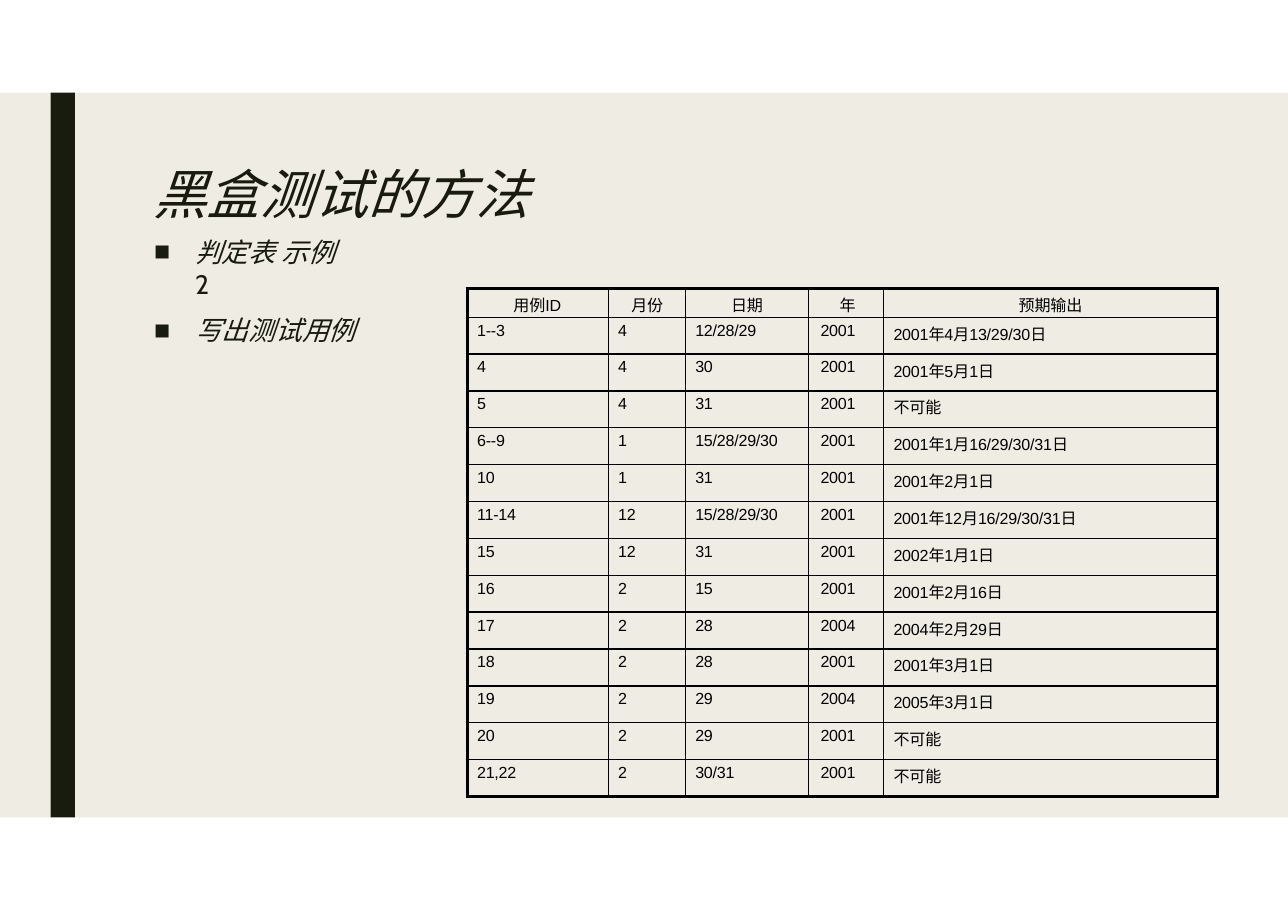
from itertools import groupby
from lxml.etree import SubElement as Sub
from pptx import Presentation
from pptx.dml.color import RGBColor
from pptx.enum.shapes import MSO_SHAPE as Shape
from pptx.enum.text import MSO_ANCHOR as Anchor, MSO_AUTO_SIZE as Auto, PP_ALIGN as Align
from pptx.oxml.ns import qn
from pptx.util import Pt

# Content
TITLE = "黑盒测试的方法"
POINTS = [["判定表 示例", "2"], ["写出测试用例"]]
HEAD = ("用例ID", "月份", "日期", "年", "预期输出")
CASES = [
    ("1--3", "4", "12/28/29", "2001", "2001年4月13/29/30日"),
    ("4", "4", "30", "2001", "2001年5月1日"),
    ("5", "4", "31", "2001", "不可能"),
    ("6--9", "1", "15/28/29/30", "2001", "2001年1月16/29/30/31日"),
    ("10", "1", "31", "2001", "2001年2月1日"),
    ("11-14", "12", "15/28/29/30", "2001", "2001年12月16/29/30/31日"),
    ("15", "12", "31", "2001", "2002年1月1日"),
    ("16", "2", "15", "2001", "2001年2月16日"),
    ("17", "2", "28", "2004", "2004年2月29日"),
    ("18", "2", "28", "2001", "2001年3月1日"),
    ("19", "2", "29", "2004", "2005年3月1日"),
    ("20", "2", "29", "2001", "不可能"),
    ("21,22", "2", "30/31", "2001", "不可能"),
]

# Style: 200 px to the inch
PX = 914400 // 200
CREAM = RGBColor(0xEF, 0xED, 0xE3)
DARK = RGBColor(0x19, 0x1B, 0x0E)
BLACK = RGBColor(0, 0, 0)
HAN, SANS, ROUND = "Noto Sans CJK SC", "Arial", "Cabin"
WIDE, TALL = 2338, 1654
TOP, DEEP = 168, 1316
PANELS = [(136, WIDE - 136, CREAM), (0, 92, CREAM), (92, 44, DARK)]
COLS = (256, 140, 224, 136, 606)
HEAD_H, ROW_H = 52, 67
YEAR = 3
HEAD_IN = (84, 42, 0, 0, 0)
HEAD_AL = (Align.LEFT, Align.LEFT, Align.CENTER, Align.RIGHT, Align.CENTER)
CASE_IN = (18, 18, 18, 0, 18)
CASE_AL = (Align.LEFT, Align.LEFT, Align.LEFT, Align.RIGHT, Align.LEFT)
THIN, THICK = Pt(1), Pt(2.25)


def add_run(para, text, face, size, color, slant=False, gap=0):
    run = para.add_run()
    run.text = text
    font = run.font
    font.name, font.size, font.italic = face, Pt(size), slant
    font.color.rgb = color
    props = run._r.get_or_add_rPr()
    Sub(props, qn("a:ea")).set("typeface", face)
    if gap:
        props.set("spc", str(gap))


def set_frame(frame, top):
    frame.margin_left = frame.margin_right = frame.margin_bottom = 0
    frame.margin_top = top * PX
    frame.word_wrap = True
    frame.vertical_anchor = Anchor.TOP
    frame.auto_size = Auto.SHAPE_TO_FIT_TEXT


def set_edges(cell, widths):
    props = cell._tc.get_or_add_tcPr()
    for side, width in zip("LRTB", widths):
        line = Sub(props, qn("a:ln" + side), w=str(int(width)))
        fill = Sub(line, qn("a:solidFill"))
        Sub(fill, qn("a:srgbClr"), val=str(BLACK))


def fill_cell(cell, text, indent, align, right):
    cell.margin_left = cell.margin_bottom = 0
    cell.margin_right, cell.margin_top = right * PX, 8 * PX
    cell.vertical_anchor = Anchor.TOP
    cell.fill.solid()
    cell.fill.fore_color.rgb = CREAM
    para = cell.text_frame.paragraphs[0]
    para.alignment = align
    para._p.get_or_add_pPr().set("marL", str(indent * PX))
    for latin, part in groupby(text, str.isascii):
        add_run(para, "".join(part), SANS if latin else HAN, 10.5, BLACK,
                gap=-10 if latin else 0)


def add_panels(slide):
    for left, width, color in PANELS:
        panel = slide.shapes.add_shape(
            Shape.RECTANGLE, left * PX, TOP * PX, width * PX, DEEP * PX)
        panel.shadow.inherit = False
        panel.fill.solid()
        panel.fill.fore_color.rgb = color
        panel.line.fill.background()


def add_title(slide):
    title = slide.shapes.title
    slide.shapes._spTree.append(title._element)  # in front of the panels
    title.left, title.top = 278 * PX, 288 * PX
    title.width, title.height = 688 * PX, 122 * PX
    set_frame(title.text_frame, 4)
    para = title.text_frame.paragraphs[0]
    para.alignment = Align.LEFT
    add_run(para, TITLE, HAN, 35, DARK, True, 10)


def add_points(slide):
    box = slide.shapes.add_textbox(278 * PX, 400 * PX, 376 * PX, 174 * PX)
    frame = box.text_frame
    set_frame(frame, 28)
    for i, lines in enumerate(POINTS):
        para = frame.add_paragraph() if i else frame.paragraphs[0]
        props = para._p.get_or_add_pPr()
        props.set("marL", str(76 * PX))
        props.set("indent", str(-74 * PX))
        Sub(props, qn("a:buFont"), typeface=SANS)
        Sub(props, qn("a:buChar"), char="■")
        if i:
            para.space_before = Pt(9.3)
        for j, text in enumerate(lines):
            if j:
                para.add_line_break()
            latin = text.isascii()
            add_run(para, text, ROUND if latin else HAN, 17.5, DARK, not latin)


def add_cases(slide):
    rows = [HEAD] + CASES
    last, end = len(rows) - 1, len(COLS) - 1
    high = HEAD_H + ROW_H * len(CASES)
    table = slide.shapes.add_table(
        len(rows), len(COLS), 848 * PX, 524 * PX, sum(COLS) * PX, high * PX).table
    table.first_row = table.horz_banding = False
    for col, width in zip(table.columns, COLS):
        col.width = width * PX
    for r, row in enumerate(rows):
        table.rows[r].height = (ROW_H if r else HEAD_H) * PX
        indents, aligns = (CASE_IN, CASE_AL) if r else (HEAD_IN, HEAD_AL)
        for c, text in enumerate(row):
            cell = table.cell(r, c)
            outer = (c == 0, c == end, r == 0, r == last)
            set_edges(cell, [THICK if out else THIN for out in outer])
            fill_cell(cell, text, indents[c], aligns[c], 51 if c == YEAR else 0)


def main():
    deck = Presentation()
    deck.slide_width, deck.slide_height = WIDE * PX, TALL * PX
    slide = deck.slides.add_slide(deck.slide_layouts[5])
    add_panels(slide)
    add_title(slide)
    add_points(slide)
    add_cases(slide)
    deck.save("out.pptx")


if __name__ == "__main__":
    main()
